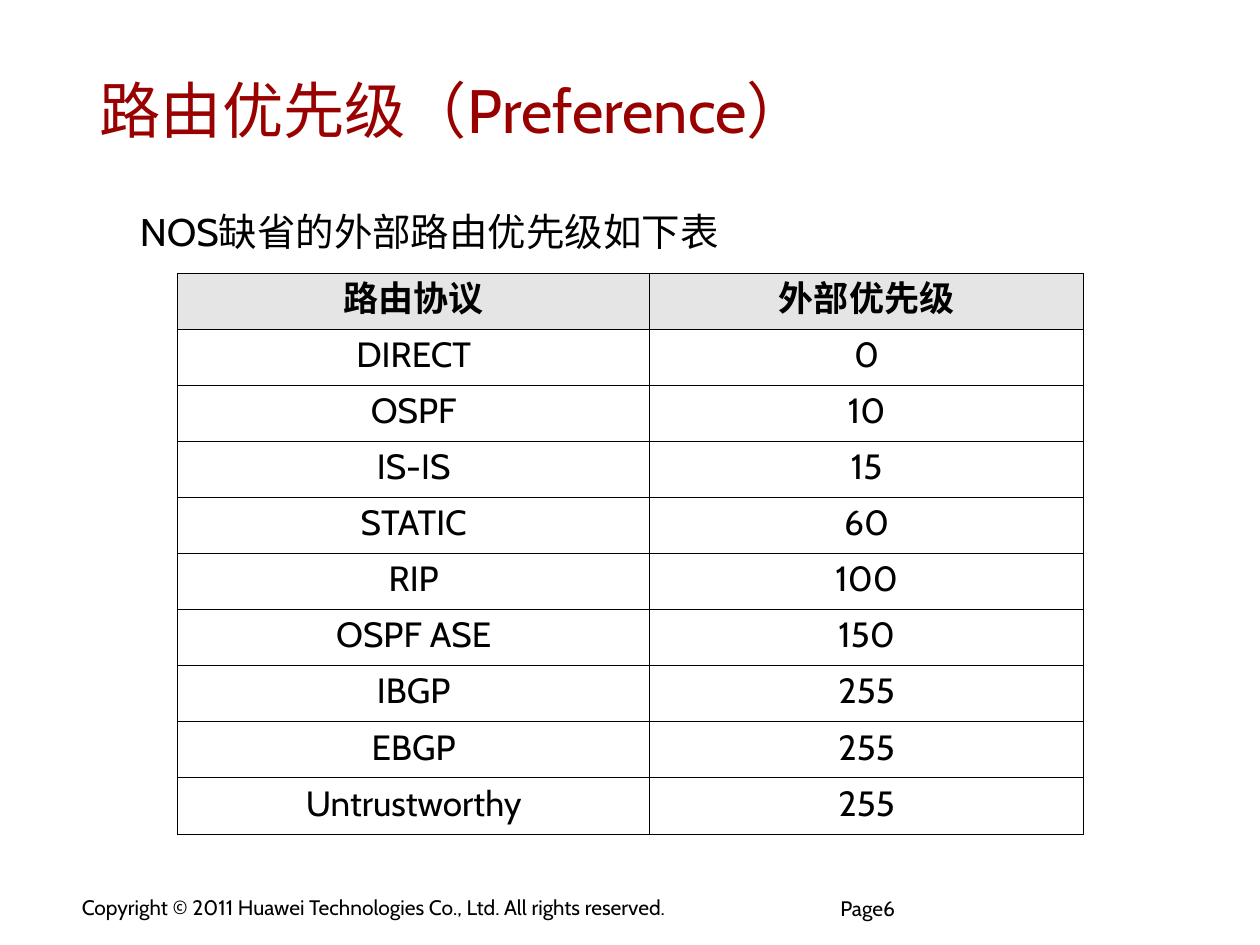
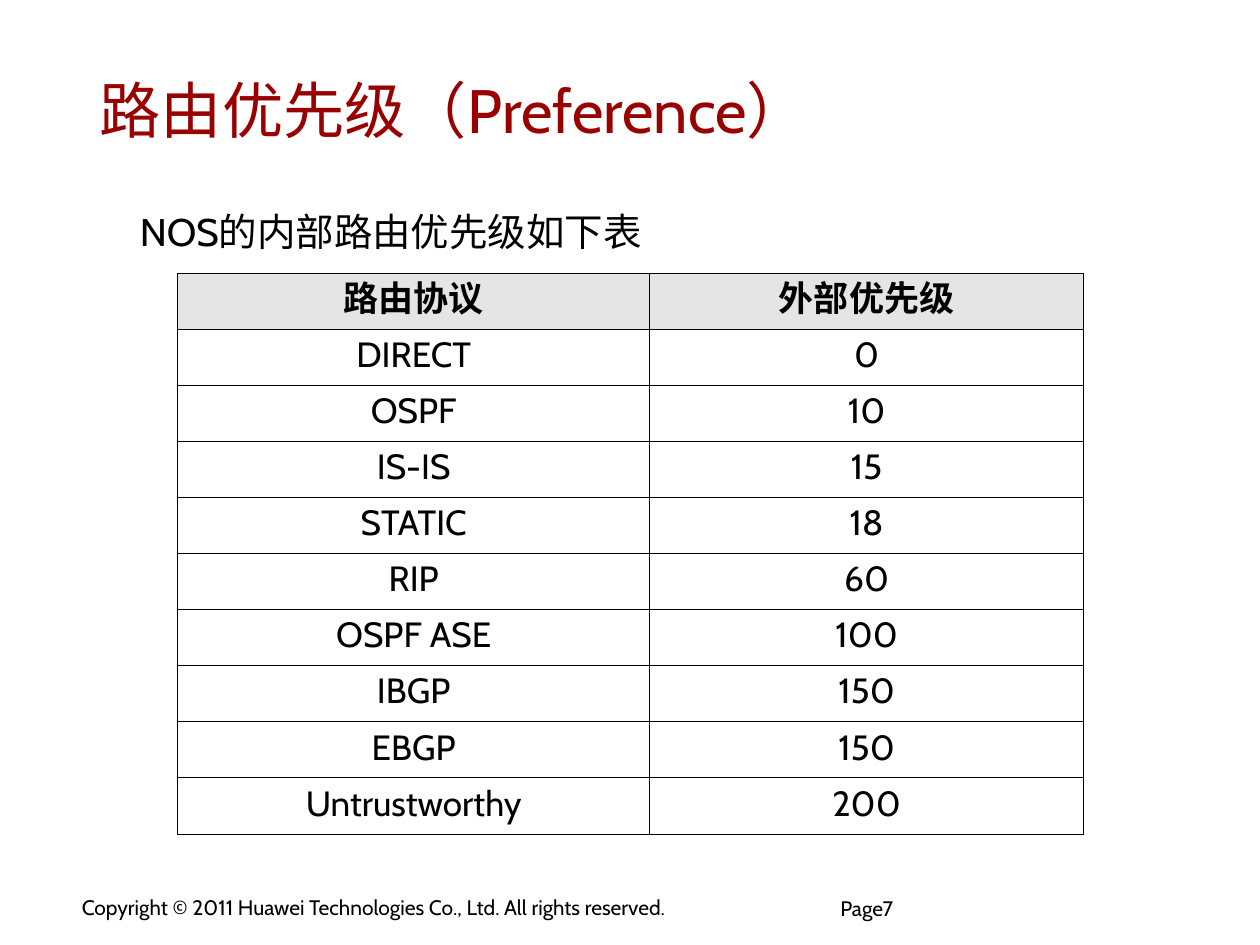
from dataclasses import dataclass

from lxml.etree import SubElement
from pptx import Presentation
from pptx.dml.color import RGBColor as RGB
from pptx.enum.text import MSO_ANCHOR as Anchor, PP_ALIGN as Align
from pptx.oxml.ns import qn
from pptx.slide import Slide
from pptx.table import _Cell as Cell
from pptx.text.text import TextFrame
from pptx.util import Cm, Pt


@dataclass(frozen=True)
class Theme:
    font: str = "Cabin"
    title: RGB = RGB(0x99, 0x00, 0x00)
    ink: RGB = RGB(0x00, 0x00, 0x00)
    header: RGB = RGB(0xCC, 0xCC, 0xCC)
    header_alpha: int = 50
    title_size: int = 35
    lead_size: int = 22
    cell_size: int = 20
    footer_size: int = 12
    border: float = 0.45


@dataclass(frozen=True)
class Box:
    left: float
    top: float
    width: float
    height: float

    def lengths(self) -> tuple[Cm, Cm, Cm, Cm]:
        return Cm(self.left), Cm(self.top), Cm(self.width), Cm(self.height)


@dataclass(frozen=True)
class PreferenceSlide:
    page: int
    lead: str
    preferences: tuple[int, ...]


THEME = Theme()

# Places, in centimetres
TITLE_BOX = Box(1.78, 0.99, 21.46, 2.41)
LEAD_BOX = Box(2.59, 3.73, 18.3, 2.36)
TABLE_BOX = Box(3.58, 5.51, 18.26, 11.3)
COPYRIGHT_BOX = Box(1.42, 17.93, 14.15, 0.74)
PAGE_BOX = Box(16.94, 18.14, 4.22, 0.91)
COLUMN_WIDTHS = (9.52, 8.74)
TEXT_INSET = (0.23, 0.1)

# Wording
TITLE = "路由优先级（Preference）"
COPYRIGHT = "Copyright © 2011 Huawei Technologies Co., Ltd. All rights reserved."
HEADERS = ("路由协议", "外部优先级")
PROTOCOLS = ("DIRECT", "OSPF", "IS-IS", "STATIC", "RIP", "OSPF ASE",
             "IBGP", "EBGP", "Untrustworthy")
SLIDES = (
    PreferenceSlide(6, "NOS缺省的外部路由优先级如下表",
                    (0, 10, 15, 60, 100, 150, 255, 255, 255)),
    PreferenceSlide(7, "NOS的内部路由优先级如下表",
                    (0, 10, 15, 18, 60, 100, 150, 150, 200)),
)


def write(tf: TextFrame, text: str, *, size: int, color: RGB = THEME.ink,
          bold: bool = False, align: Align = Align.LEFT,
          spacing: float = 1.0) -> None:
    """Fill a text frame with one formatted paragraph."""
    p = tf.paragraphs[0]
    p.alignment, p.line_spacing = align, spacing
    r = p.add_run()
    r.text = text
    r.font.name, r.font.size, r.font.bold = THEME.font, Pt(size), bold
    r.font.color.rgb = color
    SubElement(r.font._element, qn("a:ea"), typeface=THEME.font)


def add_text(s: Slide, box: Box, text: str, *, anchor: Anchor = Anchor.TOP,
             inset: tuple[float, float] = TEXT_INSET, **style) -> None:
    tf = s.shapes.add_textbox(*box.lengths()).text_frame
    tf.word_wrap, tf.vertical_anchor = True, anchor
    tf.margin_left = tf.margin_right = Cm(inset[0])
    tf.margin_top = tf.margin_bottom = Cm(inset[1])
    write(tf, text, **style)


def add_borders(cell: Cell) -> None:
    tc_pr = cell._tc.get_or_add_tcPr()
    for side in ("lnL", "lnR", "lnT", "lnB"):
        ln = SubElement(tc_pr, qn(f"a:{side}"), w=str(Pt(THEME.border)))
        fill = SubElement(ln, qn("a:solidFill"))
        SubElement(fill, qn("a:srgbClr"), val=str(THEME.ink))


def fill_cell(cell: Cell, is_header: bool) -> None:
    if not is_header:
        cell.fill.background()
        return
    cell.fill.solid()
    cell.fill.fore_color.rgb = THEME.header
    color = cell._tc.tcPr.find(f"{qn('a:solidFill')}/{qn('a:srgbClr')}")
    SubElement(color, qn("a:alpha"), val=str(THEME.header_alpha * 1000))


def add_preference_table(s: Slide, preferences: tuple[int, ...]) -> None:
    rows = [HEADERS, *zip(PROTOCOLS, map(str, preferences))]
    table = s.shapes.add_table(len(rows), len(HEADERS),
                               *TABLE_BOX.lengths()).table
    table.first_row = table.horz_banding = False
    for column, width in zip(table.columns, COLUMN_WIDTHS):
        column.width = Cm(width)
    for i, row in enumerate(rows):
        for j, text in enumerate(row):
            cell = table.cell(i, j)
            cell.vertical_anchor = Anchor.MIDDLE
            add_borders(cell)
            fill_cell(cell, is_header=i == 0)
            write(cell.text_frame, text, size=THEME.cell_size, bold=i == 0,
                  align=Align.CENTER, spacing=0.8)


def add_frame(s: Slide, page: int) -> None:
    """Draw the title and footer that every slide shares."""
    add_text(s, COPYRIGHT_BOX, COPYRIGHT, size=THEME.footer_size)
    add_text(s, PAGE_BOX, f"Page{page}", size=THEME.footer_size,
             inset=(0, 0), spacing=0.85)
    add_text(s, TITLE_BOX, TITLE, size=THEME.title_size, color=THEME.title,
             anchor=Anchor.MIDDLE)


def main() -> None:
    prs = Presentation()
    prs.slide_width, prs.slide_height = Cm(25.4), Cm(19.05)
    blank = prs.slide_layouts[6]
    for content in SLIDES:
        s = prs.slides.add_slide(blank)
        add_frame(s, content.page)
        add_text(s, LEAD_BOX, content.lead, size=THEME.lead_size, spacing=1.4)
        add_preference_table(s, content.preferences)
    prs.save("out.pptx")


if __name__ == "__main__":
    main()
